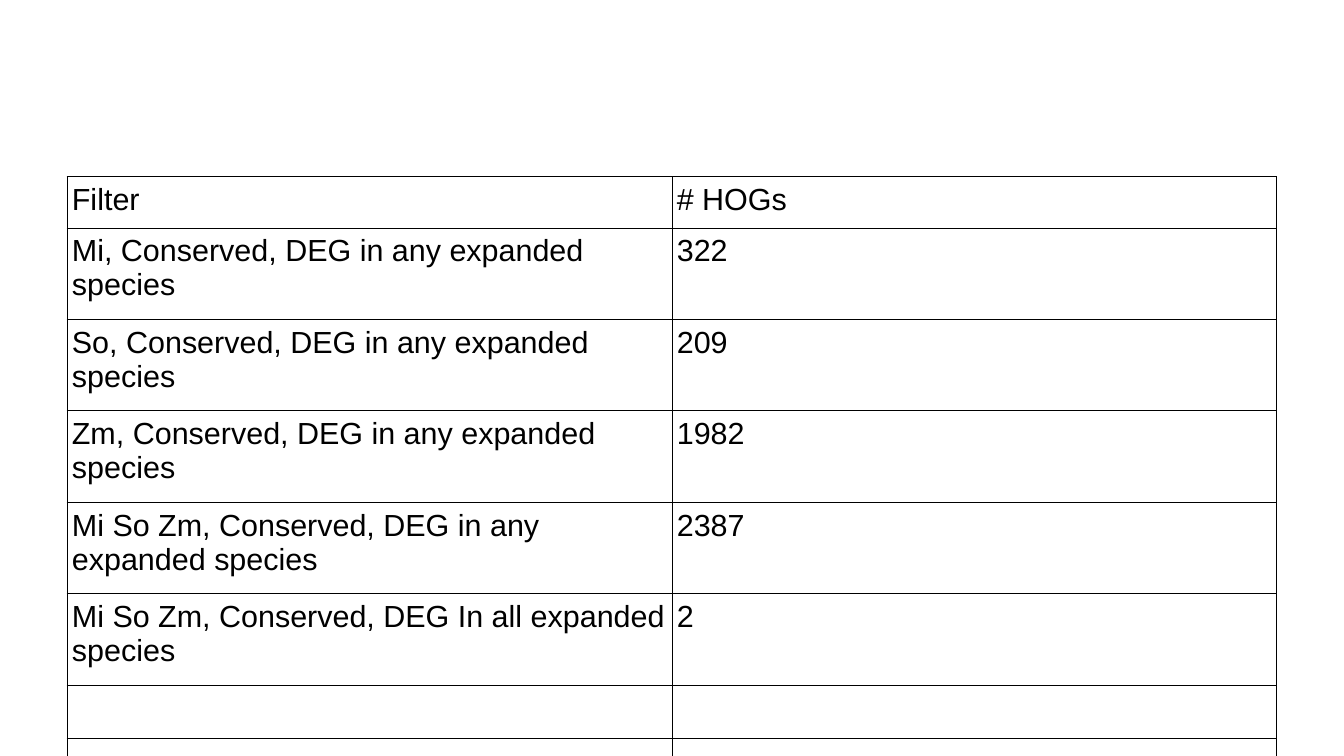
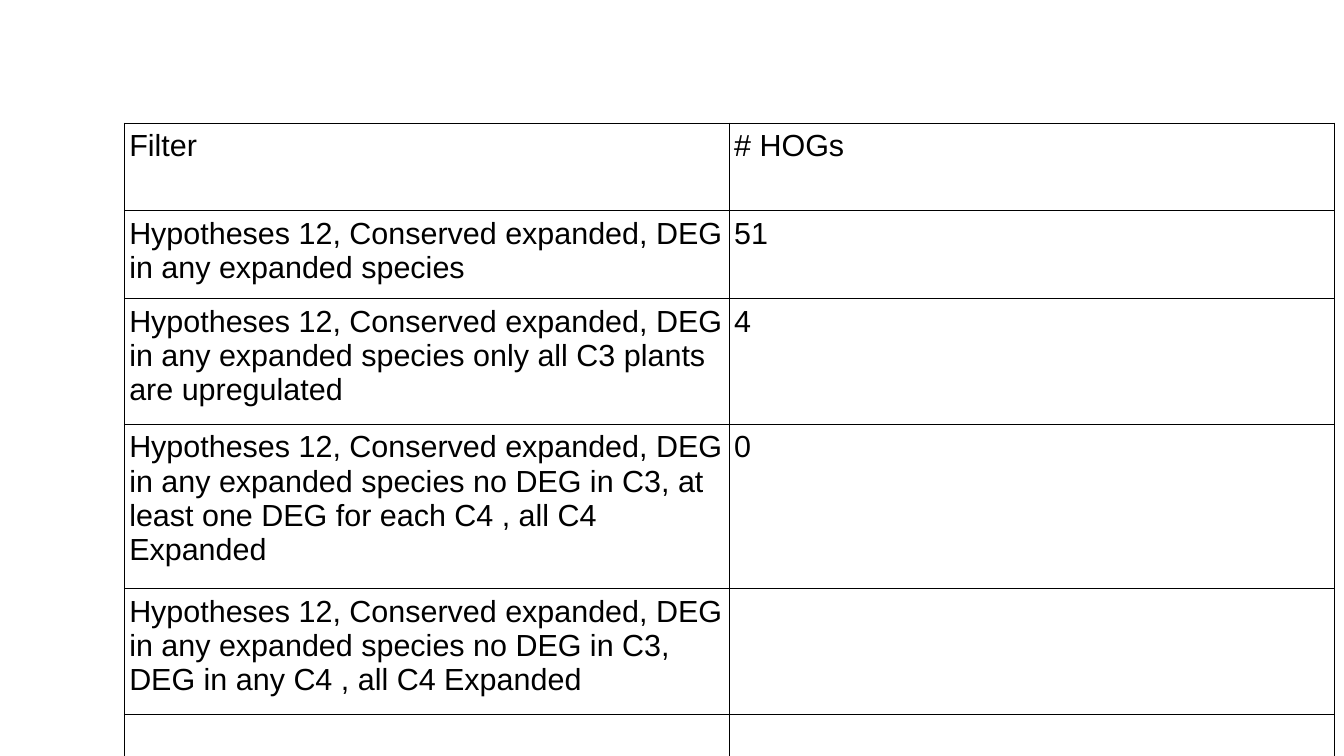
from lxml.etree import SubElement
from pptx import Presentation
from pptx.dml.color import RGBColor
from pptx.oxml.ns import qn
from pptx.util import Emu, Pt

SCALE = 9144
FONT, SIZE, INK = "Arial", 18, "000000"
LINE = 0.57
COLS = (496, 496)
HEAD = ("Filter", "# HOGs")
SHARED = "Hypotheses 12, Conserved expanded, DEG in any expanded species"
BLANK = ("", "")

SPECIES = [
    (42, HEAD),
    (75, ("Mi, Conserved, DEG in any expanded species", "322")),
    (75, ("So, Conserved, DEG in any expanded species", "209")),
    (75, ("Zm, Conserved, DEG in any expanded species", "1982")),
    (75, ("Mi So Zm, Conserved, DEG in any expanded species", "2387")),
    (75, ("Mi So Zm, Conserved, DEG In all expanded species", "2")),
    *[(44, BLANK)] * 3,
    (45, BLANK),
]

PLANTS = [
    (72, HEAD),
    (72, (SHARED, "51")),
    (103, (f"{SHARED} only all C3 plants are upregulated", "4")),
    (135, (f"{SHARED} no DEG in C3, at least one DEG for each C4 , "
           "all C4 Expanded", "0")),
    (103, (f"{SHARED} no DEG in C3, DEG in any C4 , all C4 Expanded", "")),
    *[(43, BLANK)] * 2,
]


def px(n):
    """Turn px, at 100 to the inch, into EMU."""
    return Emu(n * SCALE)


def color(code):
    """Turn a hex string into a colour."""
    return RGBColor.from_string(code)


def border(cell):
    """Draw a thin line on all four sides of a cell."""
    props = cell._tc.get_or_add_tcPr()
    for side in ("lnL", "lnR", "lnT", "lnB"):
        line = SubElement(props, qn(f"a:{side}"), w=str(int(Pt(LINE))))
        fill = SubElement(line, qn("a:solidFill"))
        SubElement(fill, qn("a:srgbClr"), val=INK)


def write(cell, text):
    """Format a cell and add its text as one run."""
    cell.margin_left = cell.margin_right = px(4)
    cell.margin_top = cell.margin_bottom = px(5)
    border(cell)
    cell.fill.background()
    if text:
        run = cell.text_frame.paragraphs[0].add_run()
        run.text = text
        run.font.name, run.font.size = FONT, Pt(SIZE)
        run.font.bold = False
        run.font.color.rgb = color(INK)


def grid(slide, left, top, rows):
    """Place a table whose rows are pairs of height and texts."""
    high = sum(height for height, _ in rows)
    frame = slide.shapes.add_table(len(rows), len(COLS), px(left), px(top),
                                   px(sum(COLS)), px(high))
    table = frame.table
    table.first_row = table.horz_banding = False
    for col, width in zip(table.columns, COLS):
        col.width = px(width)
    for row, (height, texts) in zip(table.rows, rows):
        row.height = px(height)
        for cell, text in zip(row.cells, texts):
            write(cell, text)


def main():
    """Build both slides and save them."""
    deck = Presentation()
    deck.slide_width, deck.slide_height = px(1102), px(620)
    for left, top, rows in ((55, 145, SPECIES), (102, 101, PLANTS)):
        slide = deck.slides.add_slide(deck.slide_layouts[6])
        grid(slide, left, top, rows)
    deck.save("out.pptx")


if __name__ == "__main__":
    main()
